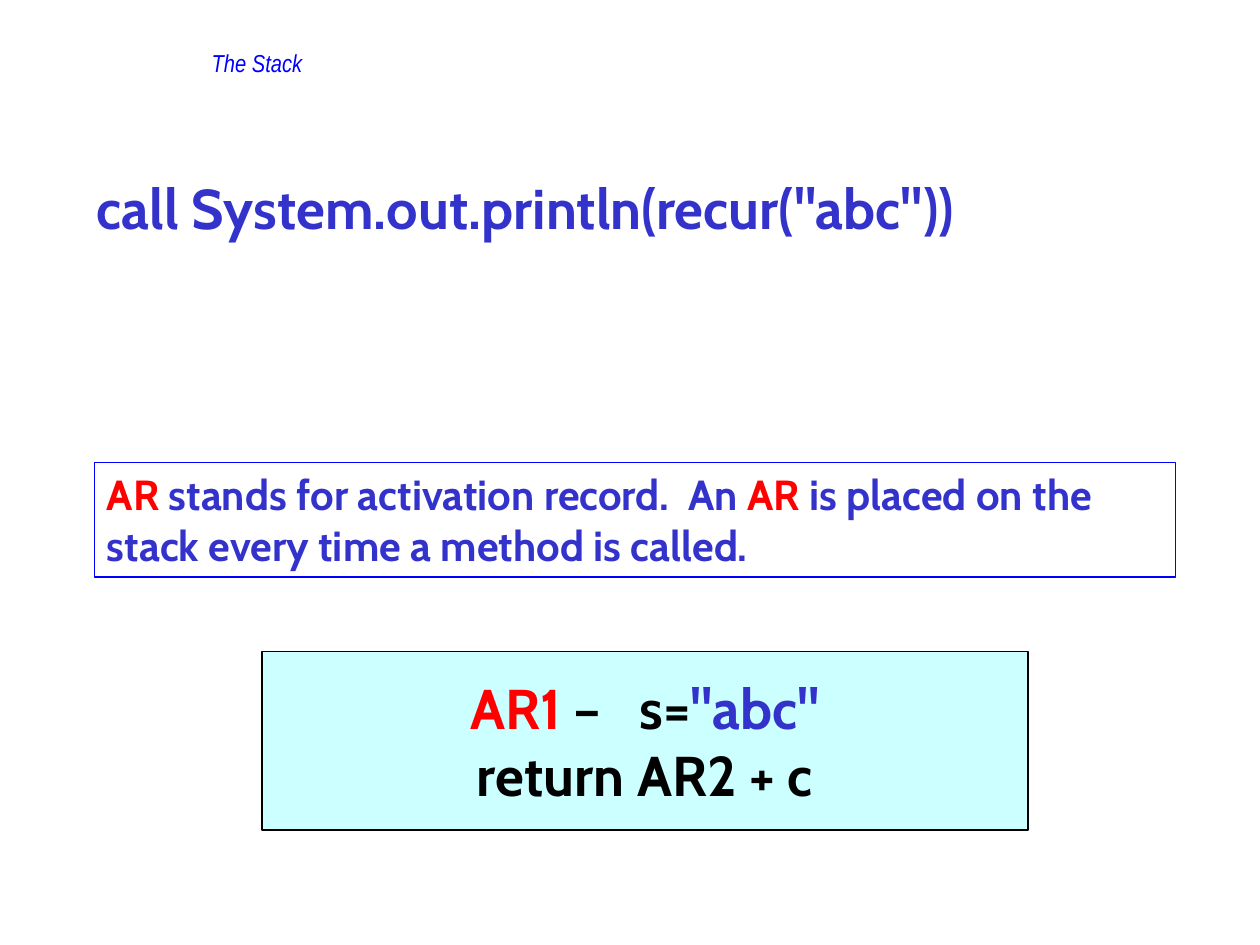
"""Builds a slide on activation records and the call stack."""
from pptx import Presentation
from pptx.dml.color import RGBColor
from pptx.enum.shapes import MSO_SHAPE
from pptx.enum.text import MSO_ANCHOR, PP_ALIGN
from pptx.util import Inches, Pt

RECT = MSO_SHAPE.RECTANGLE
TOP, MIDDLE = MSO_ANCHOR.TOP, MSO_ANCHOR.MIDDLE
LEFT, CENTER = PP_ALIGN.LEFT, PP_ALIGN.CENTER

THEME = {
    "blue": RGBColor(0x00, 0x00, 0xFF),
    "indigo": RGBColor(0x33, 0x33, 0xCC),
    "red": RGBColor(0xFF, 0x00, 0x00),
    "black": RGBColor(0x00, 0x00, 0x00),
    "cyan": RGBColor(0xCC, 0xFF, 0xFF),
    "title": {"name": "Arial Narrow", "size": Pt(14), "bold": False, "italic": True},
    "note": {"name": "Cabin", "size": Pt(24), "bold": True},
    "code": {"name": "Cabin", "size": Pt(32), "bold": True},
}


def write(sp, paragraphs, style, align=LEFT, anchor=TOP):
    tf = sp.text_frame
    frame = {
        "word_wrap": True, "vertical_anchor": anchor,
        "margin_left": Inches(0.1), "margin_right": Inches(0.1),
        "margin_top": Inches(0.05), "margin_bottom": Inches(0.05),
    }
    for key, value in frame.items():
        setattr(tf, key, value)
    for i, runs in enumerate(paragraphs):
        p = tf.add_paragraph() if i else tf.paragraphs[0]
        p.alignment = align
        for text, color in runs:
            r = p.add_run()
            r.text = text
            for key, value in THEME[style].items():
                setattr(r.font, key, value)
            r.font.color.rgb = THEME[color]


def add_box(s, left, top, width, height, line, fill=None):
    sp = s.shapes.add_shape(RECT, Inches(left), Inches(top), Inches(width), Inches(height))
    sp.shadow.inherit = False
    sp.line.color.rgb = THEME[line]
    sp.line.width = Pt(1)
    if fill:
        sp.fill.solid()
        sp.fill.fore_color.rgb = THEME[fill]
    else:
        sp.fill.background()
    return sp


prs = Presentation()
prs.slide_width, prs.slide_height = Inches(10), Inches(7.5)
s = prs.slides.add_slide(prs.slide_layouts[5])

title = s.shapes.title
place = {"left": 1.58, "top": 0.33, "width": 6.67, "height": 0.92}
for key, value in place.items():
    setattr(title, key, Inches(value))
write(title, [[("The Stack", "blue")]], "title")

call = s.shapes.add_textbox(Inches(0.67), Inches(1.33), Inches(9), Inches(0.63))
write(call, [[('call System.out.println(recur("abc"))', "indigo")]], "code")

record = add_box(s, 2.08, 5.17, 6.08, 1.42, "black", "cyan")
write(record, [
    [("AR1", "red"), (" –   s=", "black"), ('"abc"', "indigo")],
    [("return AR2 + c", "black")],
], "code", CENTER, MIDDLE)

note = add_box(s, 0.75, 3.67, 8.58, 0.91, "blue")
write(note, [[
    ("AR", "red"),
    (" stands for activation record.  An ", "indigo"),
    ("AR", "red"),
    (" is placed on the stack every time a method is called.", "indigo"),
]], "note")

prs.save("out.pptx")
